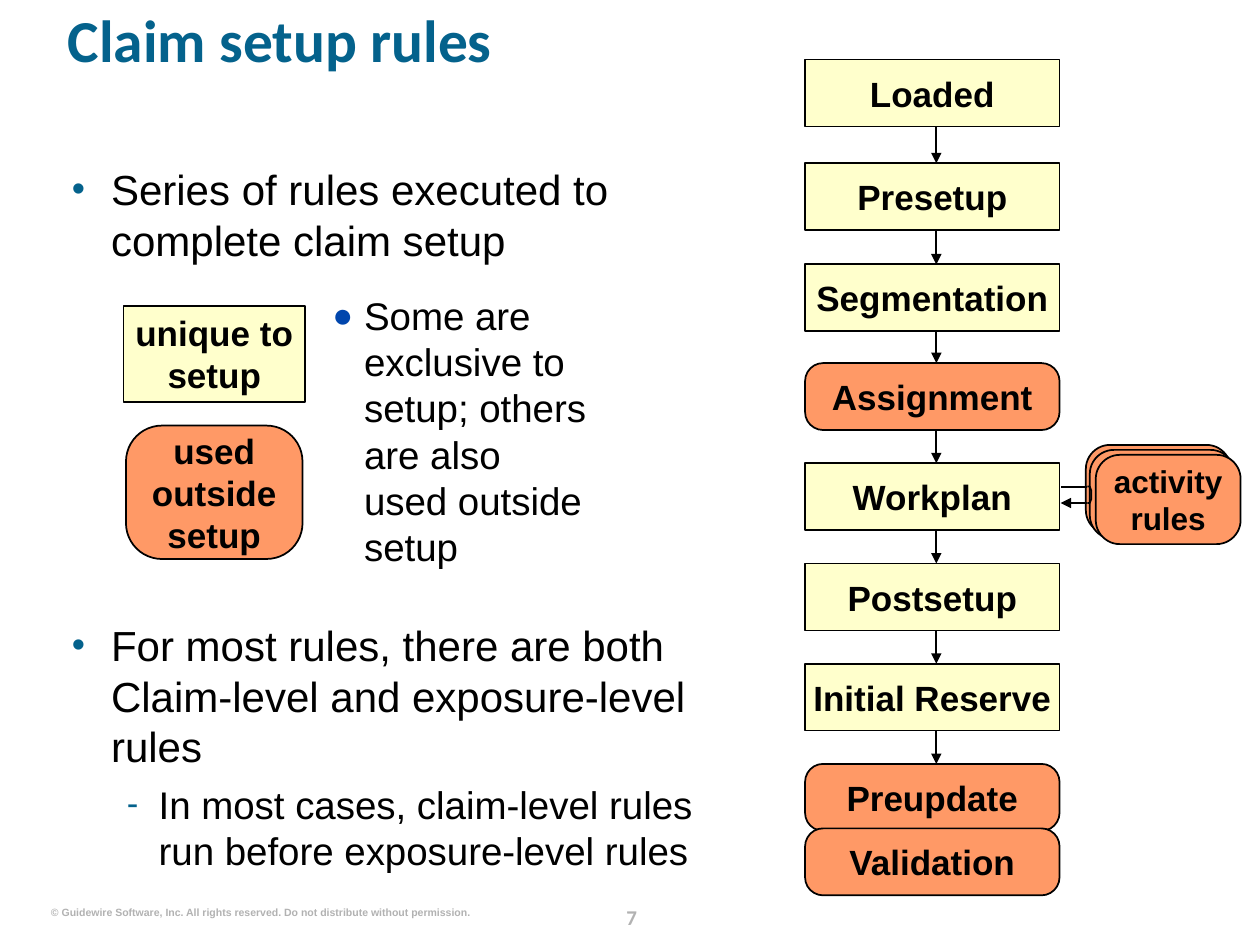
from pptx import Presentation
from pptx.dml.color import RGBColor
from pptx.enum.shapes import MSO_CONNECTOR as CONN, MSO_SHAPE as SHAPE
from pptx.enum.text import MSO_ANCHOR as ANCHOR, PP_ALIGN as ALIGN
from pptx.oxml.ns import qn
from pptx.util import Cm, Pt
from lxml.etree import SubElement

YELLOW, ORANGE, BLACK = "FFFFCC", "FF9966", "000000"
TEAL, BLUE, GREY = "04628C", "0146AD", "B2B2B2"
STEPS = [
    ("Loaded", 1.2, False),
    ("Presetup", 3.29, False),
    ("Segmentation", 5.33, False),
    ("Assignment", 7.32, True),
    ("Workplan", 9.34, False),
    ("Postsetup", 11.36, False),
    ("Initial Reserve", 13.38, False),
    ("Preupdate", 15.4, True),
    ("Validation", 16.7, True),
]


def rgb(color):
    """Turn a hex string into a colour."""
    return RGBColor.from_string(color)


def style(p, size, color=BLACK, bold=False, font="Arial"):
    """Format every run of a paragraph."""
    for r in p.runs:
        r.font.size, r.font.bold, r.font.name = Pt(size), bold, font
        r.font.color.rgb = rgb(color)


def prepare(tf, anchor=ANCHOR.TOP, wrap=True):
    """Clear the insets of a text frame and set its wrapping."""
    tf.margin_left = tf.margin_right = tf.margin_top = tf.margin_bottom = 0
    tf.vertical_anchor, tf.word_wrap = anchor, wrap
    return tf


def add_text(s, x, y, w, h, text, size, color=BLACK, font="Arial",
             align=ALIGN.LEFT, wrap=True):
    """Add a bold one-line text box."""
    box = s.shapes.add_textbox(Cm(x), Cm(y), Cm(w), Cm(h))
    tf = prepare(box.text_frame, wrap=wrap)
    tf.text = text
    p = tf.paragraphs[0]
    p.alignment = align
    style(p, size, color, True, font)
    return p


def add_bullet(p, text, size, char, color, left, hang):
    """Fill a paragraph with bulleted text on a hanging indent."""
    p.text = text
    pPr = p._p.get_or_add_pPr()
    pPr.set("marL", str(Cm(left)))
    pPr.set("indent", str(-Cm(hang)))
    SubElement(SubElement(pPr, qn("a:buClr")), qn("a:srgbClr"), val=color)
    SubElement(pPr, qn("a:buSzPct"), val="90000")
    SubElement(pPr, qn("a:buFont"), typeface="Arial")
    SubElement(pPr, qn("a:buChar"), char=char)
    style(p, size)


def add_box(s, x, y, w, h, text="", rounded=False, size=20):
    """Add a yellow rectangle or an orange rounded box with a centred label."""
    kind = SHAPE.ROUNDED_RECTANGLE if rounded else SHAPE.RECTANGLE
    sp = s.shapes.add_shape(kind, Cm(x), Cm(y), Cm(w), Cm(h))
    if rounded:
        sp.adjustments[0] = 0.27
    sp.shadow.inherit = False
    sp.fill.solid()
    sp.fill.fore_color.rgb = rgb(ORANGE if rounded else YELLOW)
    sp.line.color.rgb, sp.line.width = rgb(BLACK), Pt(1)
    tf = prepare(sp.text_frame, ANCHOR.MIDDLE)
    if text:
        tf.text = text
        p = tf.paragraphs[0]
        p.alignment = ALIGN.CENTER
        style(p, size, bold=True)


def add_line(s, x1, y1, x2, y2, arrow=True):
    """Add a thin black line, with an arrowhead at its end if wanted."""
    line = s.shapes.add_connector(CONN.STRAIGHT, Cm(x1), Cm(y1), Cm(x2), Cm(y2))
    line.line.color.rgb, line.line.width = rgb(BLACK), Pt(1)
    if arrow:
        SubElement(line.line._get_or_add_ln(), qn("a:tailEnd"), type="triangle")
    SubElement(line._element.spPr, qn("a:effectLst"))


def add_points(s, x, y, w, h):
    """Add the main points, leaving room for the legend between them."""
    tf = prepare(s.shapes.add_textbox(Cm(x), Cm(y), Cm(w), Cm(h)).text_frame)
    add_bullet(tf.paragraphs[0], "Series of rules executed to complete claim setup",
               24, "•", TEAL, 0.79, 0.79)
    p = tf.add_paragraph()
    add_bullet(p, "For most rules, there are both Claim-level and exposure-level rules",
               24, "•", TEAL, 0.79, 0.79)
    p.space_before = Pt(203)
    p = tf.add_paragraph()
    add_bullet(p, "In most cases, claim-level rules run before exposure-level rules",
               22, "-", TEAL, 1.75, 0.64)
    p.space_before = Pt(5.5)


def add_legend(s, x, y):
    """Add the two sample boxes and the note that explains them."""
    add_box(s, x, y, 3.66, 1.93, "unique to setup")
    add_box(s, x + 0.05, y + 2.41, 3.56, 2.69, "used\voutside\vsetup", True)
    note = s.shapes.add_textbox(Cm(x + 3.1), Cm(y - 0.28), Cm(6.3), Cm(5.66))
    add_bullet(prepare(note.text_frame).paragraphs[0],
               "Some are exclusive to setup; others are also used outside setup",
               22, "●", BLUE, 1.75, 0.64)


def add_flow(s, x, w, h):
    """Add the column of setup steps and the arrows that join them."""
    mid = x + w / 2 + 0.08
    for (_, top, _), (_, below, _) in zip(STEPS[:-2], STEPS[1:]):
        add_line(s, mid, top + h, mid, below)
    for text, top, rounded in STEPS:
        add_box(s, x, top, w, h, text, rounded)


def add_activity(s, x, y):
    """Add the stack of activity rules and its loop back to the workplan."""
    for dx, dy, text in ((0, 0, ""), (0.08, 0.1, ""), (0.2, 0.2, "activity rules")):
        add_box(s, x + dx, y + dy, 2.92, 1.8, text, True, 18)
    left, right, top, low = x - 0.51, x + 0.03, y + 0.84, y + 1.17
    add_line(s, right, top, left, top, False)
    add_line(s, right, low, left, low)
    bend = [(0.05, 0), (0.08, 0.08), (0.08, 0.25), (0.05, 0.33), (0, 0.33)]
    outline = s.shapes.build_freeform(Cm(right), Cm(top))
    outline.add_line_segments([(Cm(right + dx), Cm(top + dy)) for dx, dy in bend],
                              close=False)
    sp = outline.convert_to_shape()
    sp.shadow.inherit = False
    sp.fill.background()
    sp.line.color.rgb, sp.line.width = rgb(BLACK), Pt(1)


def add_footer(s, y):
    """Add the copyright line and the page number."""
    add_text(s, 1.02, y + 0.15, 8.46, 0.25,
             "© Guidewire Software, Inc. All rights reserved. "
             "Do not distribute without permission.",
             6, GREY, align=ALIGN.RIGHT, wrap=False)
    p = add_text(s, 12.01, y, 1.45, 0.64, "7", 12, GREY, "Calibri", ALIGN.CENTER)
    p.line_spacing = Pt(18)


def main():
    """Build the slide and save it."""
    prs = Presentation()
    prs.slide_width, prs.slide_height = Cm(25.4), Cm(19.05)
    s = prs.slides.add_slide(prs.slide_layouts[6])
    add_footer(s, 18.11)
    title = add_text(s, 1.37, 0.33, 23.11, 2.06, "Claim setup rules", 34, TEAL, "Calibri")
    title.line_spacing = 0.8
    add_points(s, 1.45, 3.3, 13.82, 14.43)
    add_legend(s, 2.49, 6.17)
    add_flow(s, 16.23, 5.13, 1.35)
    add_activity(s, 21.89, 8.97)
    prs.save("out.pptx")


if __name__ == "__main__":
    main()
